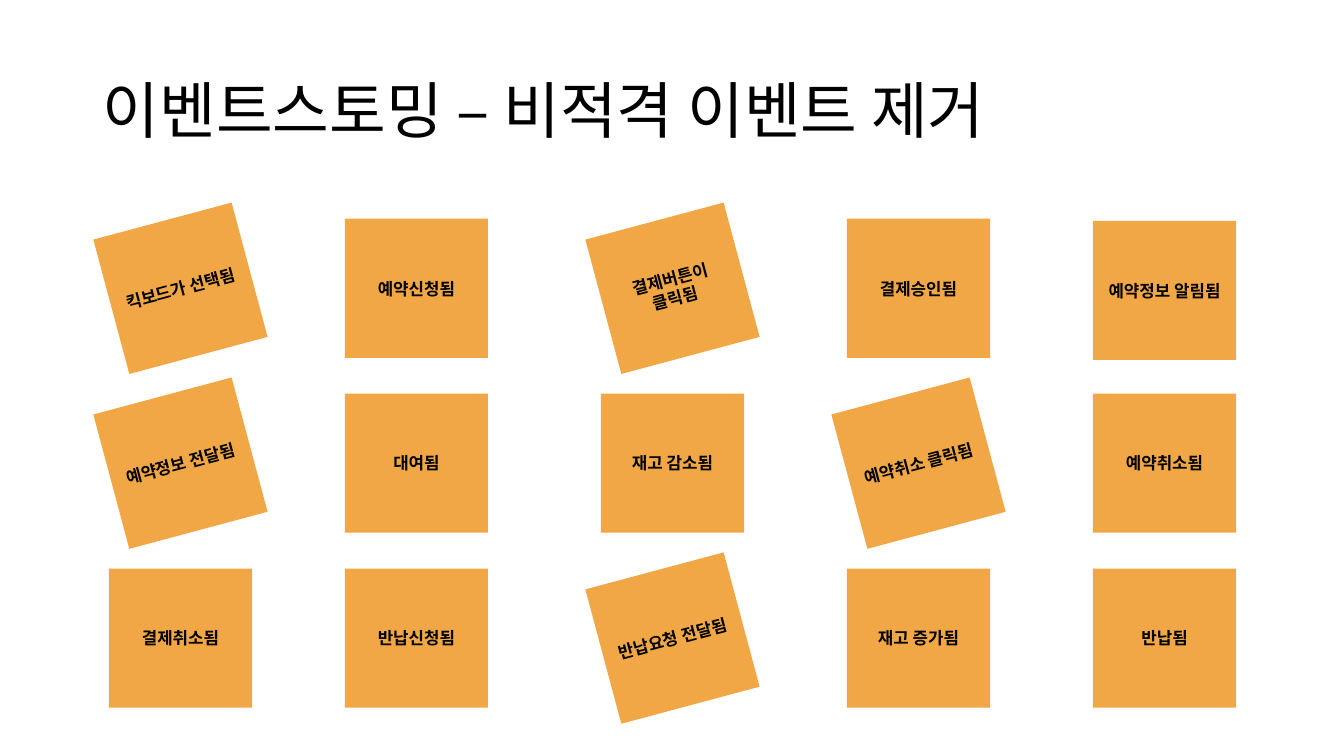
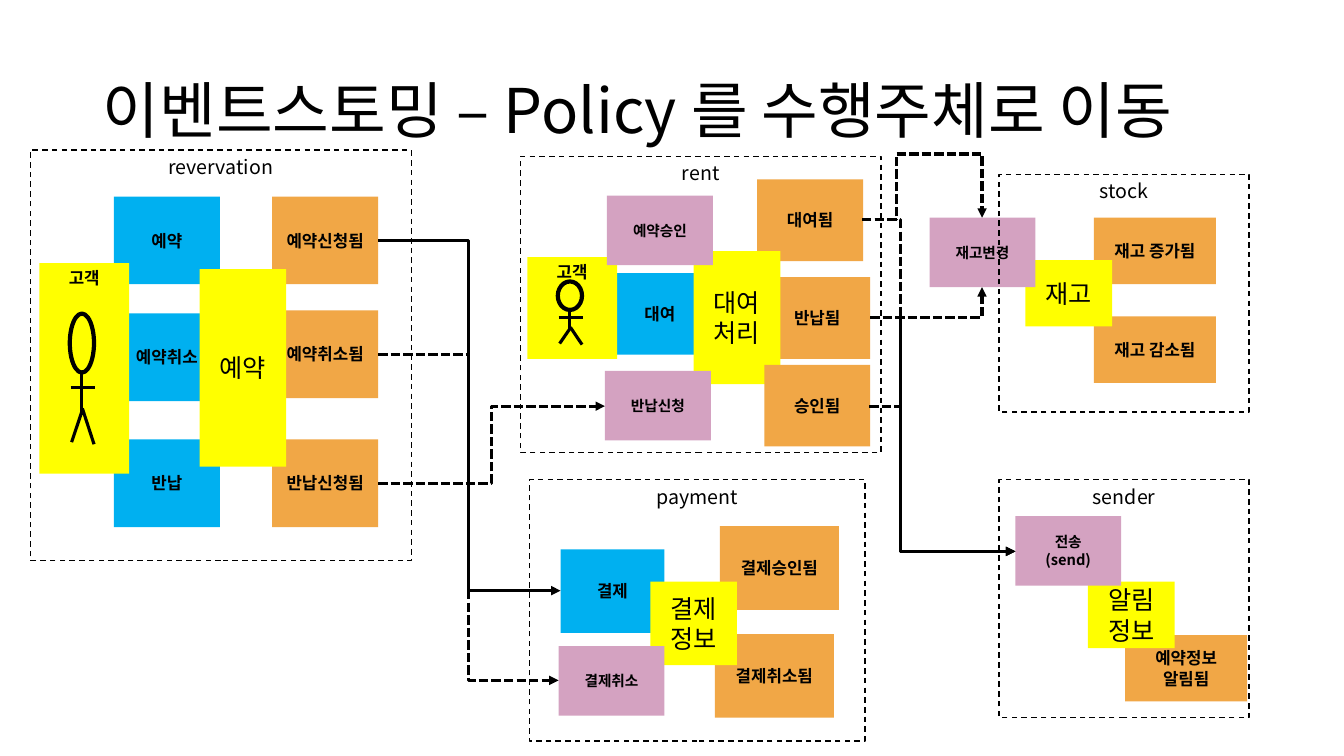
from dataclasses import dataclass
from typing import Optional

from lxml import etree
from pptx import Presentation
from pptx import util as u
from pptx.dml.color import RGBColor
from pptx.enum import dml, shapes, text
from pptx.oxml.ns import qn

SLIDE_W, SLIDE_H = 13.33, 7.5
FONT = "Noto Sans CJK KR"
COLORS = {
    "ink": "000000",
    "event": "F1A746",
    "command": "00B0F0",
    "policy": "D4A2C1",
    "aggregate": "FFFF00",
    "actor": "FFFF00",
}
# Text size and weight of each kind of sticky note
NOTE_FONTS = {
    "event": (12, True),
    "command": (12, True),
    "policy": (10.5, True),
    "aggregate": (18, False),
    "actor": (12, True),
}

# Event wall grid
COLUMNS = (1.08, 3.42, 5.96, 8.4, 10.84)
ROW_TOP, ROW_PITCH = 2.17, 1.735
EVENT_W, EVENT_H = 1.42, 1.38
TILT = -15


@dataclass(frozen=True)
class Event:
    label: str
    tilted: bool = False
    drop: float = 0


@dataclass(frozen=True)
class Note:
    kind: str
    x: float
    y: float
    w: float
    h: float
    label: str


@dataclass(frozen=True)
class Context:
    label: str
    x: float
    y: float
    w: float
    h: float


@dataclass(frozen=True)
class Route:
    """An elbow arrow that turns at turn_x and, if given, at turn_y."""
    start: tuple[float, float]
    end: tuple[float, float]
    turn_x: Optional[float] = None
    turn_y: Optional[float] = None
    dashed: bool = True


EVENT_ROWS = (
    (Event("킥보드가 선택됨", True), Event("예약신청됨"), Event("결제버튼이 클릭됨", True),
     Event("결제승인됨"), Event("예약정보 알림됨", drop=0.02)),
    (Event("예약정보 전달됨", True), Event("대여됨"), Event("재고 감소됨"),
     Event("예약취소 클릭됨", True), Event("예약취소됨")),
    (Event("결제취소됨"), Event("반납신청됨"), Event("반납요청 전달됨", True),
     Event("재고 증가됨"), Event("반납됨")),
)

ACTORS = (
    Note("actor", 0.39, 2.61, 0.89, 2.09, "고객"),
    Note("actor", 5.23, 2.55, 0.89, 1.01, "고객"),
)

# Both lists run from back to front
BACK_NOTES = (
    Note("event", 2.7, 1.95, 1.05, 0.87, "예약신청됨"),
    Note("command", 1.13, 1.95, 1.05, 0.87, "예약"),
    Note("event", 2.7, 3.08, 1.05, 0.87, "예약취소됨"),
    Note("command", 1.13, 3.11, 1.05, 0.87, "예약취소"),
    Note("event", 2.7, 4.36, 1.05, 0.87, "반납신청됨"),
    Note("command", 1.13, 4.36, 1.05, 0.87, "반납"),
    Note("event", 7.14, 5.22, 1.18, 0.83, "결제승인됨"),
    Note("command", 5.56, 5.45, 1.03, 0.83, "결제"),
    Note("event", 7.51, 1.78, 1.05, 0.81, "대여됨"),
    Note("command", 6.02, 2.71, 1.05, 0.81, "대여"),
)
FRONT_NOTES = (
    Note("event", 7.58, 2.75, 1.05, 0.81, "반납됨"),
    Note("aggregate", 6.88, 2.49, 0.86, 1.32, "대여\n처리"),
    Note("event", 7.09, 6.29, 1.18, 0.83, "결제취소됨"),
    Note("aggregate", 6.45, 5.77, 0.86, 0.83, "결제\n정보"),
    Note("event", 10.85, 3.14, 1.21, 0.66, "재고 감소됨"),
    Note("event", 10.85, 2.16, 1.21, 0.66, "재고 증가됨"),
    Note("aggregate", 10.17, 2.58, 0.86, 0.66, "재고"),
    Note("policy", 6.02, 1.94, 1.05, 0.69, "예약승인"),
    Note("aggregate", 1.98, 2.67, 0.86, 1.96, "예약"),
    Note("policy", 5.54, 6.41, 1.05, 0.69, "결제취소"),
    Note("policy", 6, 3.68, 1.05, 0.69, "반납신청"),
    Note("policy", 9.22, 2.16, 1.05, 0.69, "재고변경"),
    Note("event", 7.58, 3.62, 1.05, 0.81, "승인됨"),
    Note("event", 11.16, 6.3, 1.21, 0.66, "예약정보\n알림됨"),
    Note("aggregate", 10.79, 5.77, 0.86, 0.66, "알림정보"),
    Note("policy", 10.07, 5.12, 1.05, 0.69, "전송\n(send)"),
)

CONTEXTS = (
    Context("revervation", 0.3, 1.49, 3.78, 4.07),
    Context("stock", 9.91, 1.73, 2.48, 2.36),
    Context("rent", 5.16, 1.55, 3.58, 2.94),
    Context("payment", 5.25, 4.76, 3.33, 2.59),
    Context("sender", 9.91, 4.76, 2.48, 2.36),
)

SEND_IN = (10.07, 5.47)
ROUTES = (
    Route((3.75, 2.39), (5.56, 5.86), 4.65, dashed=False),
    Route((3.75, 3.52), (5.54, 6.75), 4.65),
    Route((3.75, 4.8), (6, 4.03), 4.87),
    Route((8.55, 2.18), (9.74, 2.16), 8.89, 1.53),
    Route((8.63, 3.15), (9.74, 2.85)),
    Route((8.62, 4.03), SEND_IN, 8.93),
    Route((8.63, 3.15), SEND_IN, 8.93),
    Route((8.55, 2.18), SEND_IN, 8.93),
)


def rgb(name: str) -> RGBColor:
    return RGBColor.from_string(COLORS[name])


def format_text(tf, size: float, bold: bool = False, align=text.PP_ALIGN.CENTER,
                anchor=text.MSO_ANCHOR.MIDDLE) -> None:
    tf.word_wrap = True
    tf.vertical_anchor = anchor
    for p in tf.paragraphs:
        p.alignment = align
        p.font.size = u.Pt(size)
        p.font.bold = bold
        p.font.color.rgb = rgb("ink")
        p.font.name = FONT
        etree.SubElement(p.font._element, qn("a:ea"), typeface=FONT)


def add_titled_slide(prs, title: str, width: float):
    slide = prs.slides.add_slide(prs.slide_layouts[5])
    sp = slide.shapes.title
    sp.left, sp.top, sp.width, sp.height = map(u.Inches, (0.92, 0.4, width, 1.45))
    tf = sp.text_frame
    tf.text = title
    tf.auto_size = text.MSO_AUTO_SIZE.NONE
    format_text(tf, 44, align=text.PP_ALIGN.LEFT)
    tf.paragraphs[0].line_spacing = 0.9
    return slide


def add_plain(parent, preset, x: float, y: float, w: float, h: float):
    """Add a shape with no shadow, fill or line."""
    sp = parent.add_shape(preset, *map(u.Inches, (x, y, w, h)))
    sp.shadow.inherit = False
    sp.fill.background()
    sp.line.fill.background()
    return sp


def set_line(line, width: float, dash=None) -> None:
    line.color.rgb = rgb("ink")
    line.width = u.Pt(width)
    if dash is not None:
        line.dash_style = dash


def add_note(parent, note: Note, anchor=text.MSO_ANCHOR.MIDDLE):
    sp = add_plain(parent, shapes.MSO_SHAPE.RECTANGLE, note.x, note.y, note.w, note.h)
    sp.fill.solid()
    sp.fill.fore_color.rgb = rgb(note.kind)
    sp.text_frame.text = note.label
    format_text(sp.text_frame, *NOTE_FONTS[note.kind], anchor=anchor)
    return sp


def add_context(parent, context: Context) -> None:
    sp = add_plain(parent, shapes.MSO_SHAPE.RECTANGLE,
                   context.x, context.y, context.w, context.h)
    set_line(sp.line, 1, dml.MSO_LINE.DASH)
    sp.text_frame.text = context.label
    format_text(sp.text_frame, 14, anchor=text.MSO_ANCHOR.TOP)


def add_line(parent, kind, start, end, dash=None):
    cx = parent.add_connector(kind, *map(u.Inches, (*start, *end)))
    set_line(cx.line, 2.25, dash)
    etree.SubElement(cx._element.spPr, qn("a:effectLst"))
    return cx


def add_actor(parent, note: Note) -> None:
    """Add a card with a stick figure laid out in shares of the card."""
    group = parent.add_group_shape().shapes
    add_note(group, note, text.MSO_ANCHOR.TOP)
    head = add_plain(group, shapes.MSO_SHAPE.OVAL, note.x + 0.34 * note.w,
                     note.y + 0.24 * note.h, 0.27 * note.w, 0.28 * note.h)
    set_line(head.line, 3)
    limbs = (
        (0.35, 0.59, 0.62, 0.59),
        (0.47, 0.52, 0.47, 0.72),
        (0.47, 0.71, 0.36, 0.85),
        (0.48, 0.69, 0.61, 0.86),
    )
    for x1, y1, x2, y2 in limbs:
        add_line(group, shapes.MSO_CONNECTOR.STRAIGHT,
                 (note.x + x1 * note.w, note.y + y1 * note.h),
                 (note.x + x2 * note.w, note.y + y2 * note.h))


def add_route(parent, route: Route) -> None:
    dash = dml.MSO_LINE.SQUARE_DOT if route.dashed else None
    cx = add_line(parent, shapes.MSO_CONNECTOR.ELBOW, route.start, route.end, dash)
    turns = [
        (turn - a) / (b - a)
        for turn, a, b in zip((route.turn_x, route.turn_y), route.start, route.end)
        if turn is not None
    ]
    geom = cx._element.spPr.find(qn("a:prstGeom"))
    geom.set("prst", f"bentConnector{2 + len(turns)}")
    guides = geom.find(qn("a:avLst"))
    for i, share in enumerate(turns, 1):
        etree.SubElement(guides, qn("a:gd"), name=f"adj{i}",
                         fmla=f"val {round(share * 100000)}")
    ln = cx._element.spPr.find(qn("a:ln"))
    etree.SubElement(ln, qn("a:tailEnd"), type="triangle")


def build_event_wall(prs) -> None:
    slide = add_titled_slide(prs, "이벤트스토밍 – 비적격 이벤트 제거", 11.5)
    for row, events in enumerate(EVENT_ROWS):
        for x, event in zip(COLUMNS, events):
            y = ROW_TOP + row * ROW_PITCH + event.drop
            sp = add_note(slide.shapes,
                          Note("event", x, y, EVENT_W, EVENT_H, event.label))
            sp.rotation = TILT if event.tilted else 0


def build_policy_map(prs) -> None:
    slide = add_titled_slide(prs, "이벤트스토밍 – Policy 를 수행주체로 이동", 11.88)
    layers = (
        (add_note, BACK_NOTES),
        (add_actor, ACTORS),
        (add_note, FRONT_NOTES),
        (add_context, CONTEXTS),
        (add_route, ROUTES),
    )
    for draw, items in layers:
        for item in items:
            draw(slide.shapes, item)


def main() -> None:
    prs = Presentation()
    prs.slide_width, prs.slide_height = u.Inches(SLIDE_W), u.Inches(SLIDE_H)
    build_event_wall(prs)
    build_policy_map(prs)
    prs.save("out.pptx")


if __name__ == "__main__":
    main()
